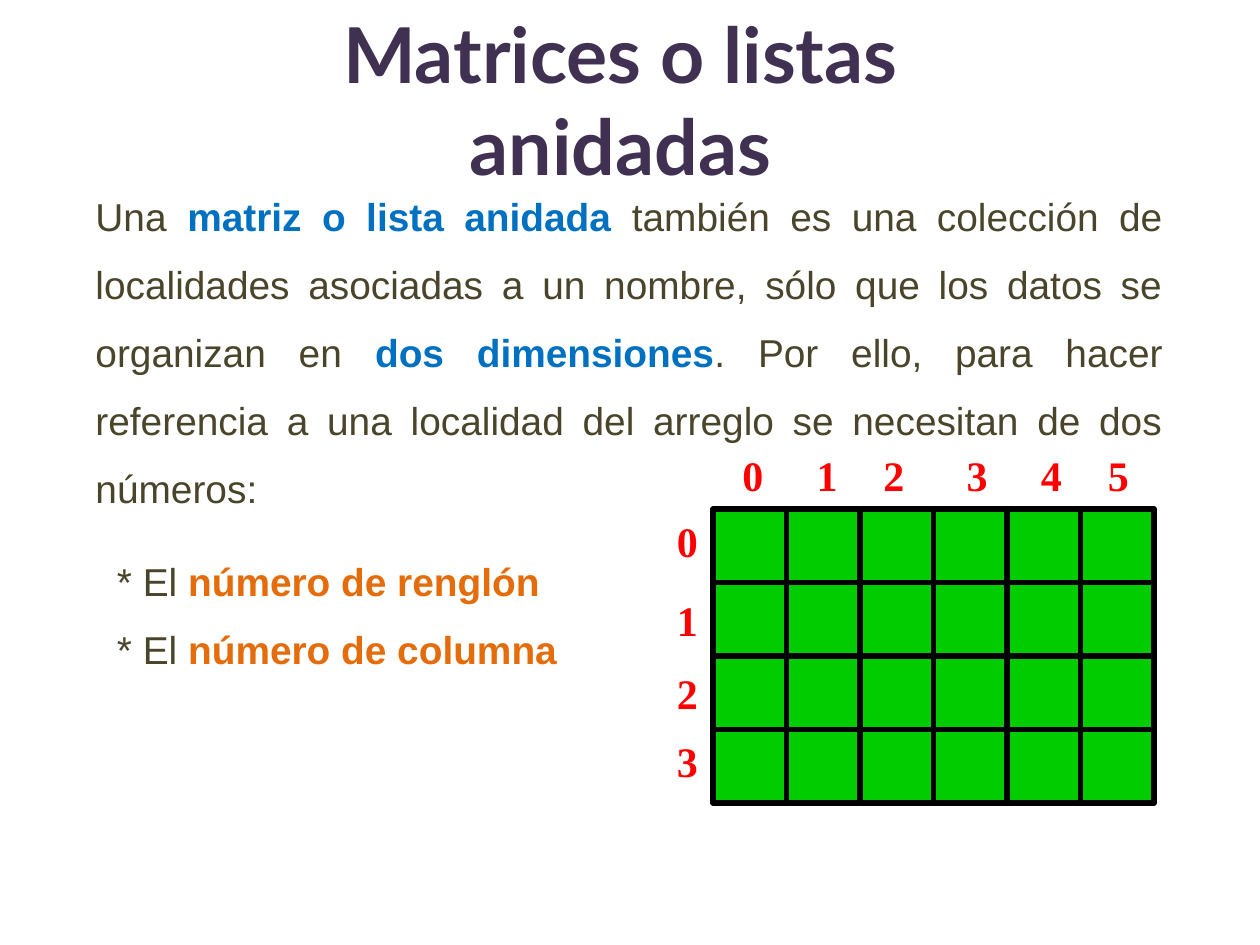
from pptx import Presentation
from pptx import util as u
from pptx.dml.color import RGBColor
from pptx.enum import shapes, text

THEME = {
    "title": ("Lato", 44, "403152", True),
    "body": ("Arial", 22.2, "4A452A", False),
    "key": ("Arial", 22.2, "0070C0", True),
    "item": ("Arial", 22.2, "E46C0A", True),
    "index": ("Times New Roman", 24, "FF0000", True),
    "cell": "00CC00",
    "border": "000000",
}

TITLE = "Matrices o listas anidadas"
INTRO = [
    ("Una ", "body"),
    ("matriz o lista anidada", "key"),
    (" también es una colección de localidades asociadas a un nombre, "
     "sólo que los datos se organizan en ", "body"),
    ("dos dimensiones", "key"),
    (". Por ello, para hacer referencia a una localidad del arreglo "
     "se necesitan de dos números:", "body"),
]
ITEMS = [
    [("* El ", "body"), ("número de renglón", "item")],
    [("* El ", "body"), ("número de columna", "item")],
]
LINE_SPACING = 1.46
ITEM_INDENT, ITEM_GAP = 0.17, 14

GRID_LEFT, GRID_TOP, CELL = 5.66, 4.04, 7 / 12
COLUMN_LABEL_LEFTS = [5.79, 6.38, 6.91, 7.57, 8.16, 8.69]
ROW_LABEL_TOPS = [4.04, 4.67, 5.25, 5.79]
COLUMN_LABEL_TOP, ROW_LABEL_LEFT = 3.52, 5.27
LABEL_WIDTH, LABEL_HEIGHT = 0.37, 0.5


def inches(*lengths):
    return [u.Inches(length) for length in lengths]


def add_run(paragraph, words, style):
    name, size, color, bold = THEME[style]
    run = paragraph.add_run()
    run.text = words
    run.font.name = name
    run.font.size = u.Pt(size)
    run.font.color.rgb = RGBColor.from_string(color)
    run.font.bold = bold


def add_index(slide, left, top, number):
    label = slide.shapes.add_textbox(*inches(left, top, LABEL_WIDTH, LABEL_HEIGHT))
    label.text_frame.word_wrap = False
    label.text_frame.auto_size = text.MSO_AUTO_SIZE.SHAPE_TO_FIT_TEXT
    paragraph = label.text_frame.paragraphs[0]
    paragraph.alignment = text.PP_ALIGN.CENTER
    add_run(paragraph, str(number), "index")


def add_cell(slide, row, column):
    cell = slide.shapes.add_shape(
        shapes.MSO_SHAPE.RECTANGLE,
        *inches(GRID_LEFT + column * CELL, GRID_TOP + row * CELL, CELL, CELL))
    cell.shadow.inherit = False
    cell.fill.solid()
    cell.fill.fore_color.rgb = RGBColor.from_string(THEME["cell"])
    cell.line.color.rgb = RGBColor.from_string(THEME["border"])
    cell.line.width = u.Pt(3)


presentation = Presentation()
presentation.slide_width, presentation.slide_height = inches(10, 7.5)
slide = presentation.slides.add_slide(presentation.slide_layouts[5])

title = slide.shapes.title
title.left, title.top, title.width, title.height = inches(1.54, 0.37, 6.77, 0.83)
title.text_frame.word_wrap = True
title.text_frame.auto_size = text.MSO_AUTO_SIZE.NONE
title.text_frame.vertical_anchor = text.MSO_ANCHOR.MIDDLE
title.text_frame.paragraphs[0].alignment = text.PP_ALIGN.CENTER
add_run(title.text_frame.paragraphs[0], TITLE, "title")

body = slide.shapes.add_textbox(*inches(0.66, 1.31, 8.67, 4.08))
frame = body.text_frame
frame.word_wrap = True
for number, runs in enumerate([INTRO] + ITEMS):
    paragraph = frame.add_paragraph() if number else frame.paragraphs[0]
    paragraph.alignment = text.PP_ALIGN.JUSTIFY
    paragraph.line_spacing = LINE_SPACING
    if number:
        paragraph.space_before = u.Pt(ITEM_GAP if number == 1 else 0)
        paragraph._p.get_or_add_pPr().set("marL", str(u.Inches(ITEM_INDENT)))
    for words, style in runs:
        add_run(paragraph, words, style)

for column, left in enumerate(COLUMN_LABEL_LEFTS):
    add_index(slide, left, COLUMN_LABEL_TOP, column)
for row, top in enumerate(ROW_LABEL_TOPS):
    add_index(slide, ROW_LABEL_LEFT, top, row)
    for column in range(len(COLUMN_LABEL_LEFTS)):
        add_cell(slide, row, column)

presentation.save("out.pptx")
